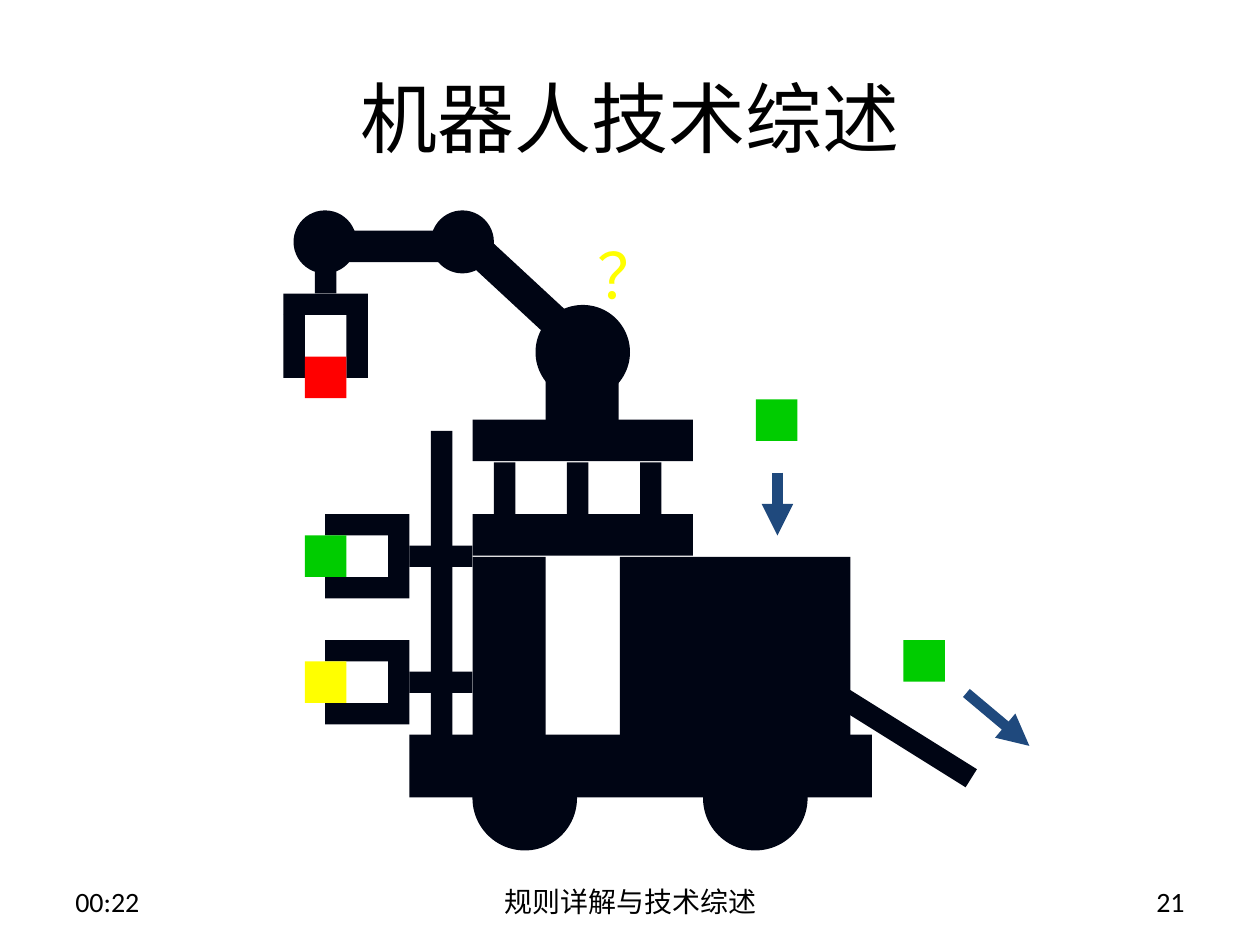
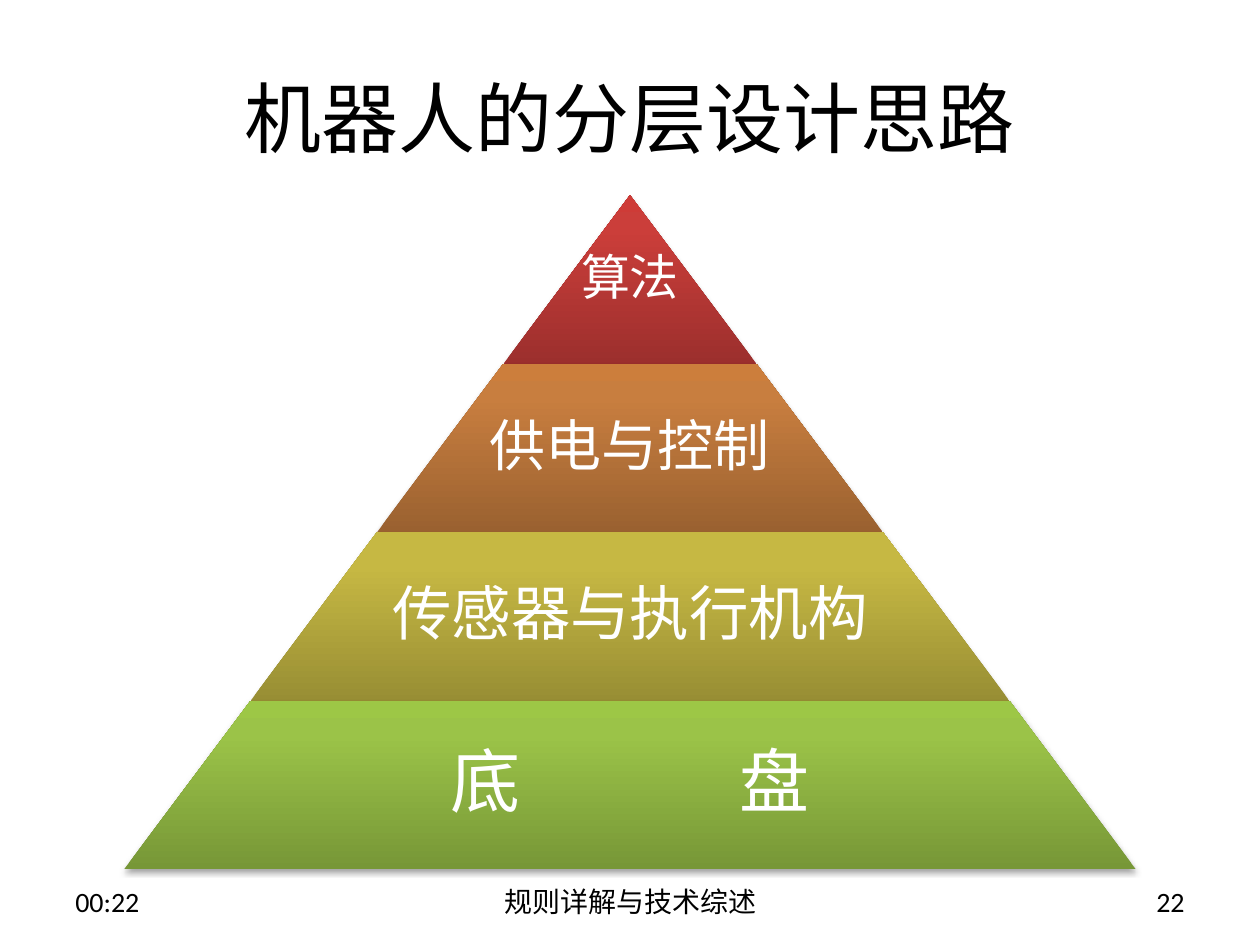
"""Build two slides on robot technology: a robot diagram and a design pyramid."""
from dataclasses import dataclass

from lxml import etree
from pptx import Presentation
from pptx.dml.color import RGBColor
from pptx.enum.shapes import MSO_CONNECTOR, MSO_SHAPE
from pptx.enum.text import MSO_ANCHOR, PP_ALIGN
from pptx.oxml import parse_xml
from pptx.oxml.ns import nsdecls, qn
from pptx.util import Inches, Pt

RECT, ELLIPSE, TRAPEZOID = MSO_SHAPE.RECTANGLE, MSO_SHAPE.OVAL, MSO_SHAPE.TRAPEZOID
STRAIGHT = MSO_CONNECTOR.STRAIGHT
LEFT, CENTER, RIGHT = PP_ALIGN.LEFT, PP_ALIGN.CENTER, PP_ALIGN.RIGHT
TOP, MIDDLE = MSO_ANCHOR.TOP, MSO_ANCHOR.MIDDLE


@dataclass(frozen=True)
class Theme:
    """Fonts, colours and type sizes of the deck."""
    latin: str = "Calibri"
    cjk: str = "Noto Sans CJK SC"
    text: str = "000000"
    white: str = "FFFFFF"
    body: str = "000514"
    arrow: str = "1F497D"
    red: str = "FF0000"
    green: str = "00CC00"
    yellow: str = "FFFF00"
    title_size: int = 44
    footer_size: int = 16
    question_size: int = 36
    arrow_width: int = 6


LAYERS = [
    ("算法", 28, 1, 0.04, ("9C2F2D", "CB3E3A", "CE3B37")),
    ("供电与控制", 32, 0.65, 0.04, ("9A6130", "C87E3F", "CC7E3C")),
    ("传感器与执行机构", 34, 0.65, 0.05, ("988E34", "C6B843", "C9BB41")),
    ("底盘", 40, 0.65, 0.06, ("779737", "9BC348", "9DC746")),
]
CHASSIS_GAP = 125
GRIPPER_LENGTH = 1.17
GRIPPER_PARTS = [(0, 0, 0.5, 0.17), (0, 0.5, 0.5, 0.17),
                 (0.5, 0, 0.17, 0.67), (0.67, 0.25, 0.5, 0.17)]


class Deck:
    """Hold the style and the current slide, and draw each kind of element."""

    def __init__(self, theme):
        """Open an empty 10 by 7.5 inch presentation."""
        self.theme = theme
        self.prs = Presentation()
        self.prs.slide_width, self.prs.slide_height = Inches(10), Inches(7.5)
        self.s = None

    def slide(self, title, number):
        """Start a slide with its title and footer."""
        t = self.theme
        self.s = self.prs.slides.add_slide(self.prs.slide_layouts[6])
        self.text(title, 0.5, 0.3, 9, 1.25, size=t.title_size, font=t.cjk)
        for words, x, w, align in (("00:22", 0.5, 2.33, LEFT),
                                   ("规则详解与技术综述", 3.42, 3.17, CENTER),
                                   (str(number), 7.17, 2.33, RIGHT)):
            self.text(words, x, 6.95, w, 0.4, size=t.footer_size, font=t.latin, align=align)

    def text(self, words, x, y, w, h, *, size, font, color=None, align=CENTER,
             anchor=MIDDLE, wrap=True, inset=None, line_spacing=None, gap=0):
        """Add a text box; gap spreads the first character from the rest, in points."""
        tf = self.s.shapes.add_textbox(Inches(x), Inches(y), Inches(w), Inches(h)).text_frame
        tf.word_wrap, tf.vertical_anchor = wrap, anchor
        if inset is not None:
            tf.margin_left = tf.margin_right = tf.margin_top = tf.margin_bottom = Inches(inset)
        p = tf.paragraphs[0]
        p.alignment, p.line_spacing = align, line_spacing
        for i, part in enumerate((words[0], words[1:]) if gap else (words,)):
            r = p.add_run()
            r.text = part
            r.font.size, r.font.name = Pt(size), font
            r.font.color.rgb = RGBColor.from_string(color or self.theme.text)
            rPr = r.font._element
            etree.SubElement(rPr, qn("a:ea")).set("typeface", self.theme.cjk)
            if gap and i == 0:
                rPr.set("spc", str(gap * 100))

    def shape(self, x, y, w, h, *, kind=RECT, color=None, rotation=0):
        """Add a filled shape without outline."""
        sp = self.s.shapes.add_shape(kind, Inches(x), Inches(y), Inches(w), Inches(h))
        sp.shadow.inherit = False
        sp.fill.solid()
        sp.fill.fore_color.rgb = RGBColor.from_string(color or self.theme.body)
        sp.line.fill.background()
        sp.rotation = rotation
        return sp

    def circle(self, x, y, d):
        """Add a circle in the body colour."""
        self.shape(x, y, d, d, kind=ELLIPSE)

    def cube(self, x, y, color):
        """Add one coloured game cube."""
        self.shape(x, y, 0.33, 0.33, color=color)

    def gripper(self, x, y, down=False):
        """Add a gripper that opens to the left, or downwards."""
        for px, py, w, h in GRIPPER_PARTS:
            if down:
                px, py, w, h = py, GRIPPER_LENGTH - px - w, h, w
            self.shape(x + px, y + py, w, h)

    def arrow(self, x1, y1, x2, y2):
        """Add a thick arrow."""
        c = self.s.shapes.add_connector(STRAIGHT, Inches(x1), Inches(y1), Inches(x2), Inches(y2))
        c.line.width = Pt(self.theme.arrow_width)
        c.line.color.rgb = RGBColor.from_string(self.theme.arrow)
        spPr = c._element.spPr
        etree.SubElement(spPr.find(qn("a:ln")), qn("a:tailEnd")).set("type", "triangle")
        etree.SubElement(spPr, qn("a:effectLst"))

    def layer(self, x, y, w, h, colors):
        """Add a pyramid layer with an upward gradient and a soft shadow."""
        sp = self.shape(x, y, w, h, kind=TRAPEZOID)
        sp.adjustments[0] = 0.75
        spPr = sp._element.spPr
        stops = "".join(f'<a:gs pos="{pos}"><a:srgbClr val="{c}"/></a:gs>'
                        for pos, c in zip((0, 80000, 100000), colors))
        spPr.replace(spPr.find(qn("a:solidFill")), parse_xml(
            f'<a:gradFill {nsdecls("a")} rotWithShape="1"><a:gsLst>{stops}</a:gsLst>'
            '<a:lin ang="16200000" scaled="0"/></a:gradFill>'))
        spPr.find(qn("a:effectLst")).append(parse_xml(
            f'<a:outerShdw {nsdecls("a")} blurRad="{Pt(3.1)}" dist="{Pt(1.8)}" dir="5400000" '
            'rotWithShape="0"><a:srgbClr val="000000"><a:alpha val="35000"/></a:srgbClr>'
            '</a:outerShdw>'))


def robot_slide(deck):
    """Draw the robot with its grippers, arm, cubes and ramp."""
    t = deck.theme
    deck.slide("机器人技术综述", 21)
    deck.shape(3.25, 5.83, 3.67, 0.5)
    for wheel_x in (3.75, 5.58):
        deck.circle(wheel_x, 5.92, 0.83)
    for x, w in ((3.75, 0.58), (4.92, 0.58), (5.5, 1.25)):
        deck.shape(x, 4.42, w, 1.42)
    for deck_y in (3.33, 4.08):
        deck.shape(3.75, deck_y, 1.75, 0.33)
    for i in range(3):
        deck.shape(3.92 + 0.58 * i, 3.67, 0.17, 0.42)
    deck.shape(3.42, 3.42, 0.17, 2.42)
    for grip_y in (4.08, 5.08):
        deck.gripper(2.58, grip_y)
    deck.gripper(2.25, 1.83, down=True)
    deck.shape(2.75, 1.83, 1.08, 0.25)
    deck.shape(3.53, 2.16, 1.17, 0.25, rotation=42.8)
    for joint_x in (2.33, 3.42):
        deck.circle(joint_x, 1.67, 0.5)
    deck.shape(4.33, 2.67, 0.58, 0.67)
    deck.circle(4.25, 2.42, 0.75)
    deck.shape(6.48, 5.74, 1.33, 0.17, rotation=32)
    for x, y, color in ((2.42, 2.83, t.red), (2.42, 4.25, t.green), (2.42, 5.25, t.yellow),
                        (6, 3.17, t.green), (7.17, 5.08, t.green)):
        deck.cube(x, y, color)
    deck.arrow(6.17, 3.75, 6.17, 4.25)
    deck.arrow(7.67, 5.5, 8.17, 5.92)
    deck.text("？", 3.08, 1.83, 3.83, 4.08, size=t.question_size, font=t.cjk,
              color=t.yellow, anchor=TOP, wrap=False)


def pyramid_slide(deck):
    """Draw the design layers as a pyramid."""
    t = deck.theme
    deck.slide("机器人的分层设计思路", 22)
    h, step = 5.35 / len(LAYERS), 8.03 / len(LAYERS)
    for i, (words, size, share, inset, colors) in enumerate(LAYERS):
        y, w = 1.55 + h * i, step * (i + 1)
        deck.layer(5 - w / 2, y, w, h, colors)
        text_w = w * share
        deck.text(words, 5 - text_w / 2, y, text_w, h, size=size, font=t.cjk, color=t.white,
                  inset=inset, line_spacing=0.9, gap=CHASSIS_GAP if words == "底盘" else 0)


def main():
    """Build and save the deck."""
    deck = Deck(Theme())
    robot_slide(deck)
    pyramid_slide(deck)
    deck.prs.save("out.pptx")


if __name__ == "__main__":
    main()
